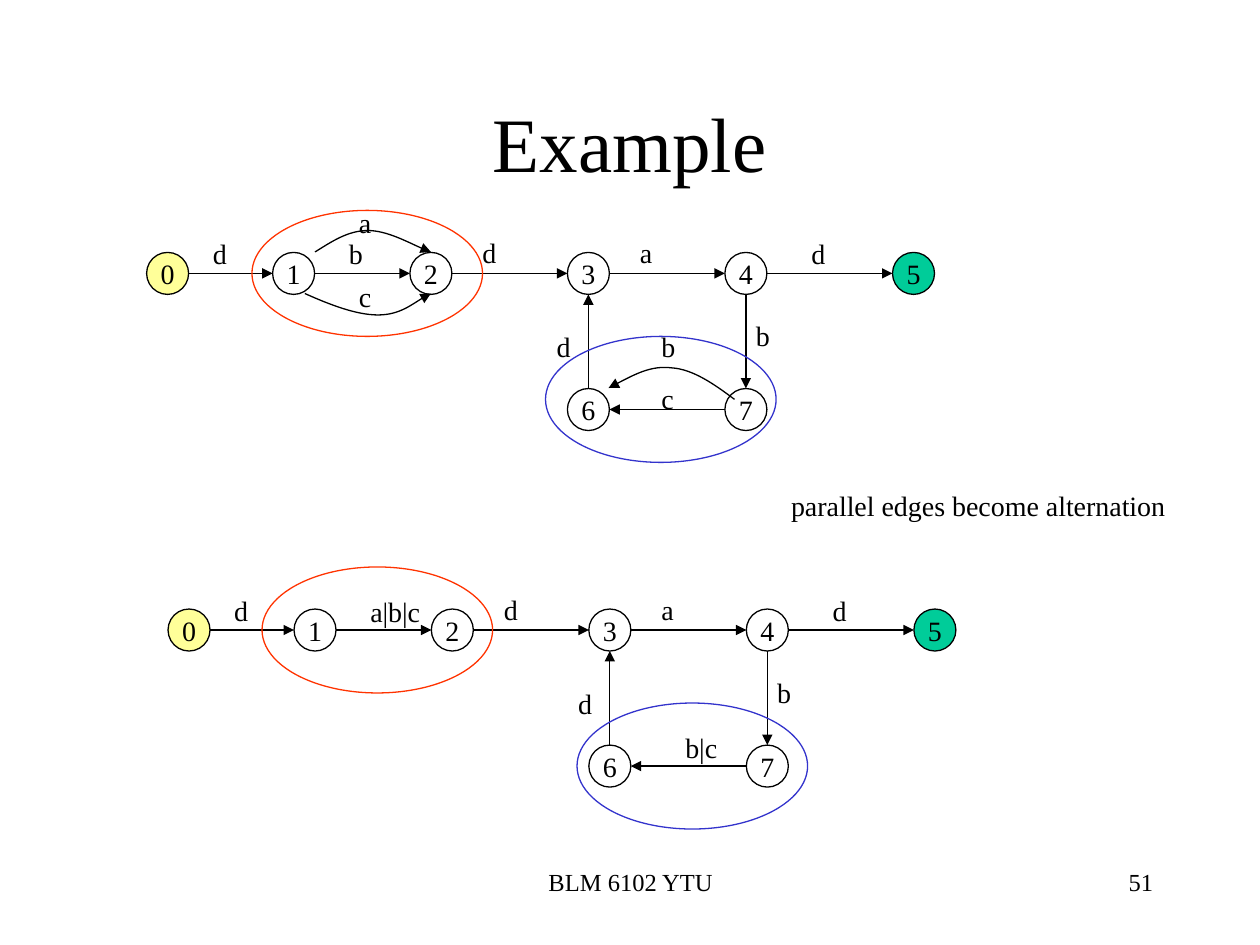
from dataclasses import dataclass
from typing import Optional

from lxml.etree import SubElement
from pptx import Presentation
from pptx.dml.color import RGBColor
from pptx.enum.shapes import MSO_CONNECTOR, MSO_SHAPE
from pptx.enum.text import MSO_ANCHOR, MSO_AUTO_SIZE, PP_ALIGN
from pptx.oxml.ns import qn
from pptx.util import Inches, Pt

COLORS = {
    "black": "000000",
    "start": "FFFF99",
    "end": "00CC99",
    "red": "FF3300",
    "blue": "3333CC",
}
FONT = "Times New Roman"
RADIUS = 1 / 6
RING_W, RING_H = 1.83, 1
LABEL_H = 0.37
LABEL_W = {"a": 0.3, "b": 0.31, "c": 0.3, "d": 0.31, "a|b|c": 0.65, "b|c": 0.51}


@dataclass
class Node:
    x: float
    y: float
    fill: Optional[str] = None


@dataclass
class Label:
    text: str
    x: float
    y: float


@dataclass
class Ring:
    x: float
    y: float
    color: str


NODES = {
    "0": Node(1.33, 2.17, "start"),
    "1": Node(2.33, 2.17),
    "2": Node(3.42, 2.17),
    "3": Node(4.67, 2.17),
    "4": Node(5.92, 2.17),
    "5": Node(7.25, 2.17, "end"),
    "6": Node(4.67, 3.25),
    "7": Node(5.92, 3.25),
}
EDGES = ["01", "12", "23", "34", "45", "63", "76", "47"]
SHARED_LABELS = [
    Label("d", 1.59, 1.83),
    Label("d", 3.73, 1.82),
    Label("a", 4.98, 1.82),
    Label("d", 6.34, 1.83),
    Label("d", 4.32, 2.57),
    Label("b", 5.9, 2.48),
]
PARALLEL_LABELS = [
    Label("a", 2.75, 1.58),
    Label("b", 2.67, 1.83),
    Label("c", 2.75, 2.17),
    Label("b", 5.15, 2.57),
    Label("c", 5.15, 2.98),
]
MERGED_LABELS = [Label("a|b|c", 2.84, 4.67), Label("b|c", 5.34, 5.75)]
RINGS = [
    Ring(2, 1.67, "red"),
    Ring(4.33, 2.67, "blue"),
    Ring(2.08, 4.5, "red"),
    Ring(4.58, 5.58, "blue"),
]
CURVES = [
    [(2.5, 2), (2.63, 1.92), (2.76, 1.83), (2.92, 1.83),
     (3.07, 1.83), (3.33, 1.97), (3.42, 2)],
    [(2.42, 2.33), (2.62, 2.42), (2.83, 2.5), (3, 2.5),
     (3.17, 2.5), (3.35, 2.36), (3.42, 2.33)],
    [(5.83, 3.17), (5.67, 3.05), (5.5, 2.93), (5.33, 2.92),
     (5.17, 2.9), (5, 2.99), (4.83, 3.08)],
]


def rgb(name: str) -> RGBColor:
    return RGBColor.from_string(COLORS[name])


def write(sp, text: str, *, size=16, align=PP_ALIGN.LEFT, anchor=MSO_ANCHOR.TOP,
          wrap=False, grow=False) -> None:
    tf = sp.text_frame
    tf.word_wrap = wrap
    tf.auto_size = MSO_AUTO_SIZE.SHAPE_TO_FIT_TEXT if grow else MSO_AUTO_SIZE.NONE
    tf.vertical_anchor = anchor
    p = tf.paragraphs[0]
    p.alignment = align
    r = p.add_run()
    r.text = text
    r.font.name = FONT
    r.font.size = Pt(size)
    r.font.color.rgb = rgb("black")


def add_text(s, text: str, x: float, y: float, w: float, h: float, **fmt) -> None:
    sp = s.shapes.add_textbox(Inches(x), Inches(y), Inches(w), Inches(h))
    write(sp, text, **fmt)


def add_label(s, label: Label, dx: float = 0, dy: float = 0) -> None:
    add_text(s, label.text, label.x + dx, label.y + dy, LABEL_W[label.text],
             LABEL_H, grow=True)


def add_ellipse(s, x: float, y: float, w: float, h: float, line: str,
                fill: Optional[str] = None):
    sp = s.shapes.add_shape(MSO_SHAPE.OVAL, Inches(x), Inches(y), Inches(w), Inches(h))
    sp.shadow.inherit = False
    sp.line.color.rgb = rgb(line)
    sp.line.width = Pt(0.75)
    if fill:
        sp.fill.solid()
        sp.fill.fore_color.rgb = rgb(fill)
    else:
        sp.fill.background()
    return sp


def add_node(s, name: str, node: Node, dx: float, dy: float) -> None:
    sp = add_ellipse(s, node.x + dx - RADIUS, node.y + dy - RADIUS,
                     2 * RADIUS, 2 * RADIUS, "black", node.fill)
    write(sp, name, align=PP_ALIGN.CENTER, anchor=MSO_ANCHOR.MIDDLE)


def style_arrow(sp) -> None:
    sp.line.color.rgb = rgb("black")
    sp.line.width = Pt(0.75)
    SubElement(sp.line._get_or_add_ln(), qn("a:tailEnd"), type="triangle")


def add_edge(s, a: Node, b: Node, dx: float, dy: float) -> None:
    ux = (b.x > a.x) - (b.x < a.x)
    uy = (b.y > a.y) - (b.y < a.y)
    cx = s.shapes.add_connector(
        MSO_CONNECTOR.STRAIGHT,
        Inches(a.x + dx + ux * RADIUS), Inches(a.y + dy + uy * RADIUS),
        Inches(b.x + dx - ux * RADIUS), Inches(b.y + dy - uy * RADIUS))
    style_arrow(cx)
    SubElement(cx._element.spPr, qn("a:effectLst"))


def add_curve(s, points: list[tuple[float, float]]) -> None:
    start, *rest = [(Inches(x), Inches(y)) for x, y in points]
    fb = s.shapes.build_freeform(*start)
    fb.add_line_segments(rest, close=False)
    sp = fb.convert_to_shape()
    sp.shadow.inherit = False
    sp.fill.background()
    style_arrow(sp)
    path = next(sp._element.iter(qn("a:path")))
    lines = path.findall(qn("a:lnTo"))
    for i in range(0, len(lines), 3):
        bezier = SubElement(path, qn("a:cubicBezTo"))
        for line in lines[i:i + 3]:
            bezier.append(line[0])
            path.remove(line)


def add_automaton(s, dx: float = 0, dy: float = 0) -> None:
    for name, node in NODES.items():
        add_node(s, name, node, dx, dy)
    for a, b in EDGES:
        add_edge(s, NODES[a], NODES[b], dx, dy)
    for label in SHARED_LABELS:
        add_label(s, label, dx, dy)


def main() -> None:
    prs = Presentation()
    prs.slide_width, prs.slide_height = Inches(10), Inches(7.5)
    s = prs.slides.add_slide(prs.slide_layouts[6])
    add_text(s, "BLM 6102 YTU", 3.42, 6.83, 3.17, 0.5, size=14,
             align=PP_ALIGN.CENTER, wrap=True)
    add_text(s, "51", 7.17, 6.83, 2.08, 0.5, size=14, align=PP_ALIGN.RIGHT, wrap=True)
    add_text(s, "Example", 0.75, 0.5, 8.5, 1.25, size=44, align=PP_ALIGN.CENTER,
             anchor=MSO_ANCHOR.MIDDLE, wrap=True)
    add_automaton(s)
    add_automaton(s, 0.17, 2.83)
    for points in CURVES:
        add_curve(s, points)
    for label in PARALLEL_LABELS + MERGED_LABELS:
        add_label(s, label)
    for ring in RINGS:
        add_ellipse(s, ring.x, ring.y, RING_W, RING_H, ring.color)
    add_text(s, "parallel edges become alternation", 6.18, 3.83, 3.17, LABEL_H, grow=True)
    prs.save("out.pptx")


if __name__ == "__main__":
    main()
